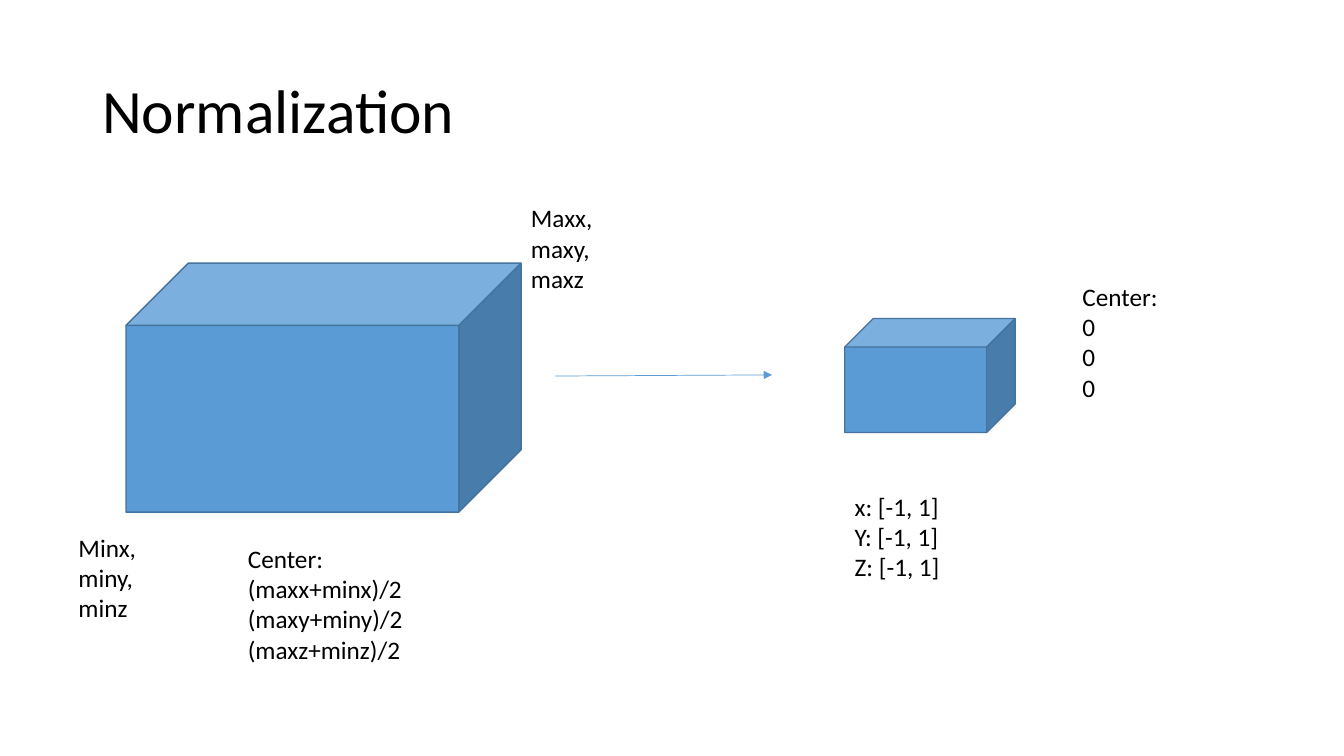
"""Build a slide that shows a bounding box being normalized."""
from lxml import etree
from pptx import Presentation
from pptx.dml.color import RGBColor
from pptx.enum.shapes import MSO_CONNECTOR, MSO_SHAPE
from pptx.enum.text import MSO_ANCHOR, MSO_AUTO_SIZE
from pptx.oxml.ns import qn
from pptx.util import Pt

BLACK = RGBColor(0x00, 0x00, 0x00)
BLUE = RGBColor(0x5B, 0x9B, 0xD5)
DARK_BLUE = RGBColor(0x43, 0x73, 0x9E)
CUBE = MSO_SHAPE.CUBE
STRAIGHT = MSO_CONNECTOR.STRAIGHT
TOP, MIDDLE = MSO_ANCHOR.TOP, MSO_ANCHOR.MIDDLE
NO_AUTO_SIZE = MSO_AUTO_SIZE.NONE
FONT = "Calibri"


def add_text(slide, box, lines, size=18, anchor=TOP, line_spacing=1.0):
    """Add a wrapped text box with one paragraph for each line."""
    shape = slide.shapes.add_textbox(*map(Pt, box))
    frame = shape.text_frame
    frame.word_wrap = True
    frame.auto_size = NO_AUTO_SIZE
    frame.vertical_anchor = anchor
    for index, line in enumerate(lines):
        paragraph = frame.add_paragraph() if index else frame.paragraphs[0]
        paragraph.line_spacing = line_spacing
        run = paragraph.add_run()
        run.text = line
        run.font.name = FONT
        run.font.size = Pt(size)
        run.font.color.rgb = BLACK


def add_cube(slide, box):
    """Add a blue cube that fills the box."""
    shape = slide.shapes.add_shape(CUBE, *map(Pt, box))
    shape.shadow.inherit = False
    shape.fill.solid()
    shape.fill.fore_color.rgb = BLUE
    shape.line.color.rgb = DARK_BLUE
    shape.line.width = Pt(1)


def add_title(slide, box):
    """Add the slide title."""
    add_text(slide, box, ["Normalization"], 44, MIDDLE, 0.9)


def add_input_volume(slide, box):
    """Add the input cube with its corner and center labels."""
    left, top, width, height = box
    right, bottom = left + width, top + height
    add_cube(slide, box)
    add_text(slide, (left - 41, bottom + 10.8, 60.5, 72.7), ["Minx, miny,", "minz"])
    add_text(slide, (right, top - 46.8, 60.5, 72.7), ["Maxx, maxy,", "maxz"])
    add_text(slide, (left + 80, bottom + 18.7, 162.7, 94.3),
             ["Center: (maxx+minx)/2", "(maxy+miny)/2", "(maxz+minz)/2"])


def add_normalized_volume(slide, box):
    """Add the normalized cube with its range and center labels."""
    left, top, width, height = box
    add_cube(slide, box)
    add_text(slide, (left, top + height + 38.2, 143.3, 72.7),
             [f"{axis}: [-1, 1]" for axis in "xYZ"])
    add_text(slide, (left + width + 41, top - 30.2, 128.2, 94.3),
             ["Center:", "0", "0", "0"])


def add_arrow(slide, box):
    """Add an arrow that rises from the lower left to the upper right of the box."""
    left, top, width, height = box
    arrow = slide.shapes.add_connector(
        STRAIGHT, Pt(left), Pt(top + height), Pt(left + width), Pt(top))
    arrow.line.color.rgb = BLUE
    arrow.line.width = Pt(0.5)
    etree.SubElement(arrow.line._get_or_add_ln(), qn("a:tailEnd"), type="triangle")
    etree.SubElement(arrow._element.spPr, qn("a:effectLst"))


def main():
    """Compose and save the presentation."""
    presentation = Presentation()
    presentation.slide_width, presentation.slide_height = Pt(960), Pt(540)
    slide = presentation.slides.add_slide(presentation.slide_layouts[6])
    add_title(slide, (66, 28.8, 828, 104.4))
    add_input_volume(slide, (90, 188, 282.2, 177.8))
    add_normalized_volume(slide, (603.4, 227.5, 121.7, 81.4))
    add_arrow(slide, (396.7, 267.8, 154.8, 0.8))
    presentation.save("out.pptx")


main()
